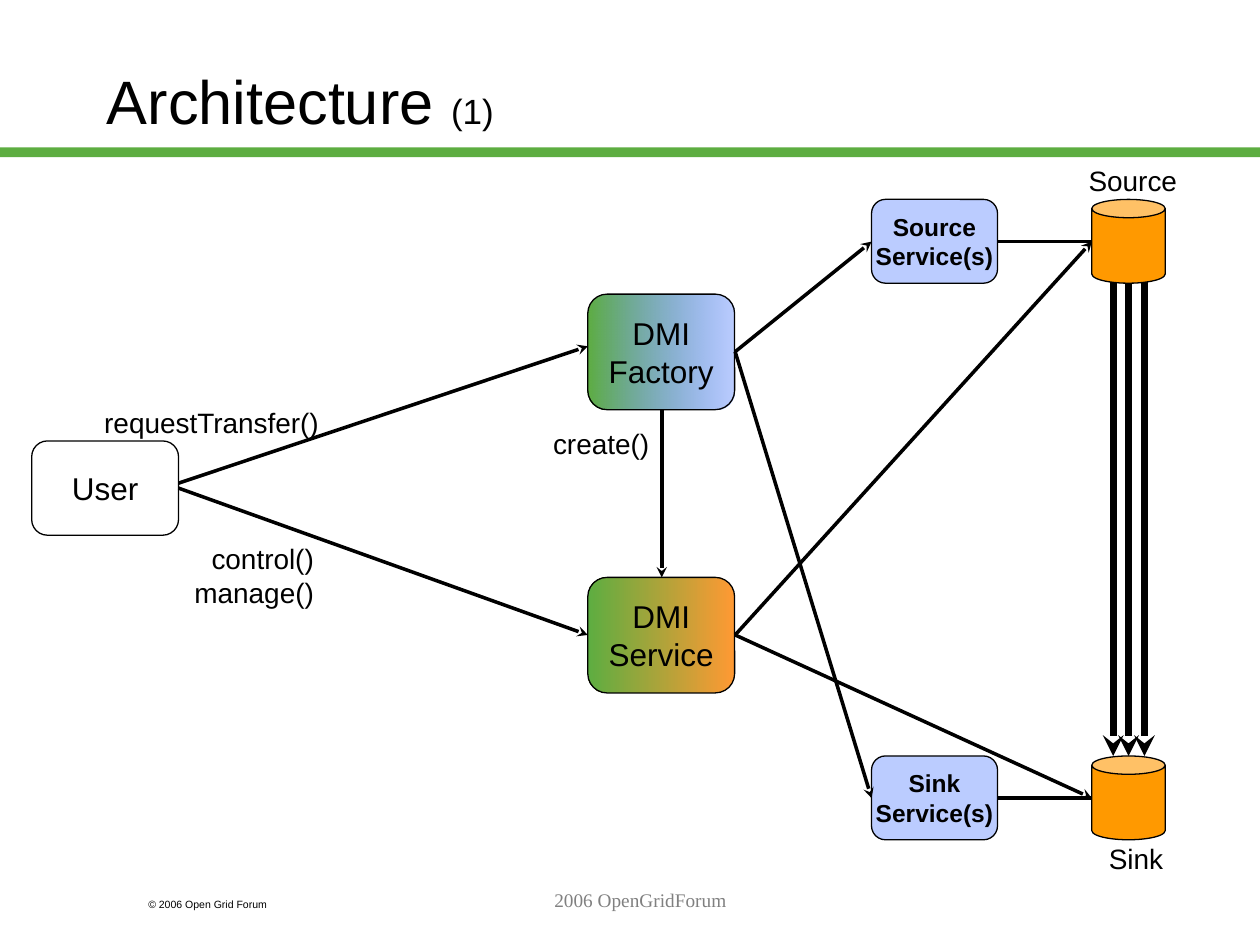
from lxml.etree import SubElement
from pptx import Presentation
from pptx.dml.color import RGBColor
from pptx.enum.shapes import MSO_CONNECTOR, MSO_SHAPE
from pptx.enum.text import MSO_ANCHOR, MSO_AUTO_SIZE, PP_ALIGN
from pptx.oxml.ns import qn
from pptx.util import Cm, Pt

BLACK, GREEN, BLUE, ORANGE = "000000", "5DAD41", "1E58FF", "FF9933"


def paint(color, code):
    color.rgb = RGBColor.from_string(code)


def fade(shape, code, share):
    for node in shape._element.spPr.iter(qn("a:srgbClr")):
        if node.get("val") == code:
            SubElement(node, qn("a:alpha"), val=str(share * 1000))


def style(font, size, color=BLACK, face="Arial", bold=False):
    font.name, font.size, font.bold = face, Pt(size), bold
    paint(font.color, color)


def write(frame, text, size, align, wrap=False, **look):
    frame.word_wrap = wrap
    frame.text = text
    for line in frame.paragraphs:
        line.alignment = align
        style(line.font, size, **look)


def add_label(slide, place, text, size=16, align=PP_ALIGN.RIGHT, **look):
    label = slide.shapes.add_textbox(*map(Cm, place))
    write(label.text_frame, text, size, align, **look)


def add_block(slide, kind, place, fills, edge=True):
    block = slide.shapes.add_shape(kind, *map(Cm, place))
    block.shadow.inherit = False
    if len(fills) == 1:
        block.fill.solid()
        paint(block.fill.fore_color, fills[0])
    else:
        block.fill.gradient()
        block.fill.gradient_angle = 180
        for stop, code, point in zip(block.fill.gradient_stops, fills, (0, 1)):
            paint(stop.color, code)
            stop.position = point
    fade(block, BLUE, 30)
    if edge:
        paint(block.line.color, BLACK)
        block.line.width = Pt(0.75)
    else:
        block.line.fill.background()
    return block


def add_box(slide, place, text, size, fills, bold=False):
    box = add_block(slide, MSO_SHAPE.ROUNDED_RECTANGLE, place, fills)
    box.text_frame.vertical_anchor = MSO_ANCHOR.MIDDLE
    write(box.text_frame, text, size, PP_ALIGN.CENTER, bold=bold)


def add_line(slide, start, end, width=2, head=True):
    line = slide.shapes.add_connector(
        MSO_CONNECTOR.STRAIGHT, *map(Cm, start + end))
    paint(line.line.color, BLACK)
    line.line.width = Pt(width)
    if head:
        SubElement(line.line._get_or_add_ln(), qn("a:tailEnd"), type="stealth")
    SubElement(line._element.spPr, qn("a:effectLst"))


def add_title(slide):
    title = slide.shapes.title
    title.left, title.top, title.width, title.height = map(
        Cm, (1.9, 0.42, 21.59, 3.18))
    frame = title.text_frame
    frame.auto_size = MSO_AUTO_SIZE.NONE
    frame.vertical_anchor = MSO_ANCHOR.MIDDLE
    frame.paragraphs[0].alignment = PP_ALIGN.LEFT
    for text, size in (("Architecture ", 35), ("(1)", 20)):
        run = frame.paragraphs[0].add_run()
        run.text = text
        style(run.font, size)


def add_stores(slide):
    for x in (22.44, 22.75, 23.07):
        add_line(slide, (x, 5.5), (x, 15.24), width=4)
    for name, top in (("Source", 4.02), ("Sink", 15.24)):
        middle = top + 0.85
        add_line(slide, (20.11, middle), (22.01, middle), head=False)
        add_block(slide, MSO_SHAPE.CAN, (22.01, top, 1.48, 1.69), ["FF9900"])
        add_box(slide, (17.57, top, 2.54, 1.69), f"{name}\nService(s)", 14,
                [BLUE], bold=True)


def add_agents(slide):
    add_box(slide, (0.64, 8.89, 2.96, 1.9), "User", 18, ["FFFFFF"])
    for name, top, tint in (("Factory", 5.93, BLUE), ("Service", 11.64, ORANGE)):
        add_box(slide, (11.85, top, 2.96, 2.33), f"DMI\n{name}", 18,
                [tint, GREEN])


def add_arrows(slide):
    for y, x in ((12.8, 22.01), (7.09, 17.57)):
        for goal in (4.87, 16.09):
            add_line(slide, (14.82, y), (x, goal))
    add_line(slide, (13.34, 8.26), (13.34, 11.64))
    add_line(slide, (3.6, 9.74), (11.85, 6.98))
    add_line(slide, (3.6, 9.84), (11.85, 12.8))


def add_labels(slide):
    add_label(slide, (1.83, 8.05, 4.85, 0.94), "requestTransfer()")
    add_label(slide, (10.8, 8.47, 2.54, 0.94), "create()")
    add_label(slide, (3.66, 10.8, 2.92, 1.63), "control()\nmanage()")
    add_label(slide, (21.69, 3.18, 2.29, 0.94), "Source")
    add_label(slide, (22.1, 16.84, 1.6, 0.94), "Sink")
    add_label(slide, (2.74, 17.98, 3.81, 0.51), "© 2006 Open Grid Forum",
              6, PP_ALIGN.LEFT, wrap=True)
    add_label(slide, (5.5, 17.78, 14.82, 1.27), "2006 OpenGridForum",
              11, PP_ALIGN.CENTER, wrap=True, color="808080",
              face="Times New Roman")


def main():
    deck = Presentation()
    deck.slide_width, deck.slide_height = Cm(25.4), Cm(19.05)
    slide = deck.slides.add_slide(deck.slide_layouts[5])
    add_block(slide, MSO_SHAPE.RECTANGLE, (0, 2.97, 25.4, 0.2), [GREEN],
              edge=False)
    add_title(slide)
    add_stores(slide)
    add_agents(slide)
    add_arrows(slide)
    add_labels(slide)
    deck.save("out.pptx")


if __name__ == "__main__":
    main()
